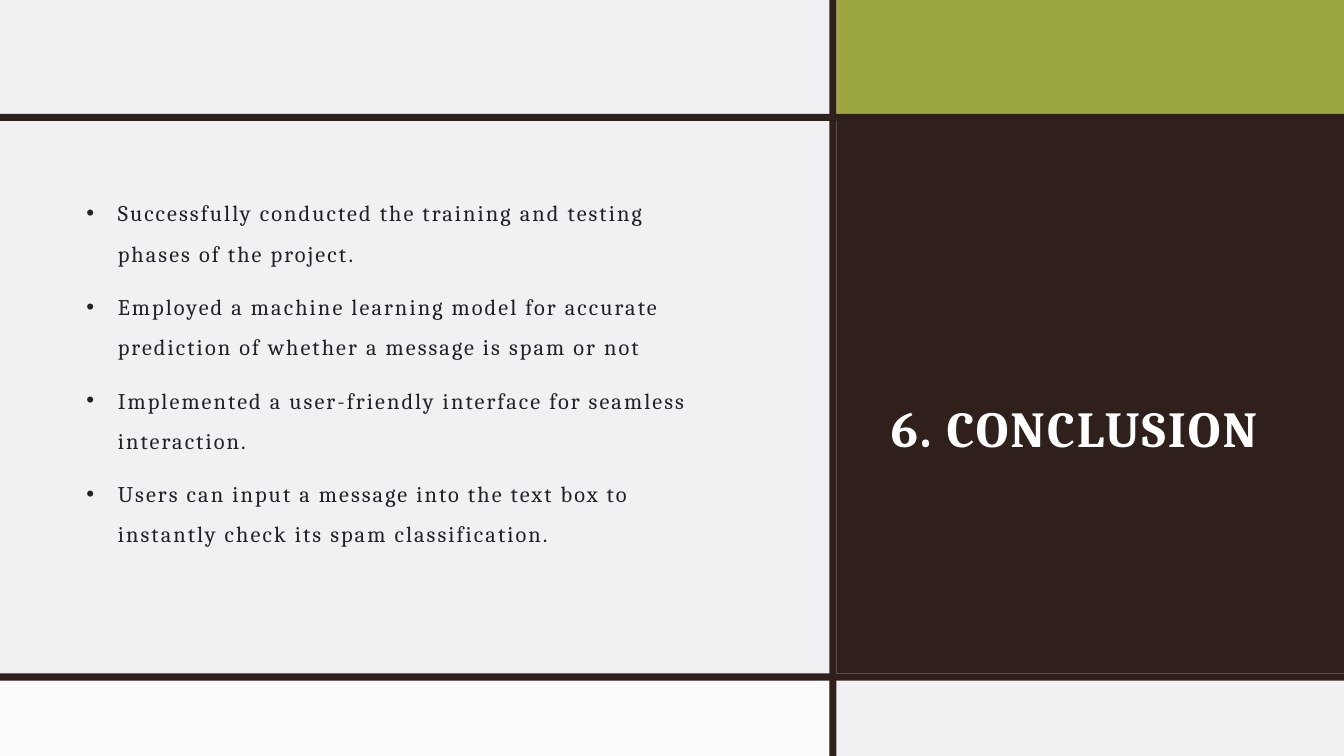
import pptx
import pptx.util
import pptx.dml.color
import pptx.enum.shapes
import pptx.enum.text
import pptx.oxml
import pptx.oxml.ns
from pptx.util import Cm

WIDTH, HEIGHT = 33.87, 19.05
BAR = 0.18
BAR_LEFT = 20.9
TOP_BAR, BOTTOM_BAR = 2.87, 16.97
PANEL_LEFT = BAR_LEFT + BAR
PANEL_TOP = TOP_BAR + BAR
STRIP_TOP = BOTTOM_BAR + BAR

BROWN = "30201B"
GREEN = "9DA742"
PALE = "F1F0F3"
WHITE = "FFFFFF"
INK = "1F2328"

CONCLUSIONS = [
    "Successfully conducted the training and testing phases of the project.",
    "Employed a machine learning model for accurate prediction of whether a message is spam or not",
    "Implemented a user-friendly interface for seamless interaction.",
    "Users can input a message into the text box to instantly check its spam classification.",
]


def set_color(color_format, color):
    color_format.rgb = pptx.dml.color.RGBColor.from_string(color)


def add_block(slide, left, top, width, height, color, opacity=100):
    shape = slide.shapes.add_shape(
        pptx.enum.shapes.MSO_SHAPE.RECTANGLE, Cm(left), Cm(top), Cm(width), Cm(height))
    shape.shadow.inherit = False
    shape.line.fill.background()
    shape.fill.solid()
    set_color(shape.fill.fore_color, color)
    if opacity < 100:
        color_element = shape.fill._xPr.find(".//" + pptx.oxml.ns.qn("a:srgbClr"))
        alpha = pptx.oxml.parse_xml(
            f'<a:alpha {pptx.oxml.ns.nsdecls("a")} val="{opacity * 1000}"/>')
        color_element.append(alpha)


def add_text(slide, left, top, width, height, lines, size, color, spacing, bold=False):
    shape = slide.shapes.add_textbox(Cm(left), Cm(top), Cm(width), Cm(height))
    text_frame = shape.text_frame
    text_frame.word_wrap = True
    text_frame.margin_left = text_frame.margin_right = text_frame.margin_top = Cm(0.3)
    text_frame.margin_bottom = Cm(0.25)
    text_frame.text = "\n".join(lines)
    for paragraph in text_frame.paragraphs:
        paragraph.line_spacing = spacing
        for run in paragraph.runs:
            run.font.name = "Cambria"
            run.font.size = pptx.util.Pt(size)
            run.font.bold = bold
            set_color(run.font.color, color)
            run.font._element.set("spc", "150")
    return text_frame


def add_bullets(text_frame):
    for paragraph in text_frame.paragraphs:
        paragraph.space_before = pptx.util.Pt(9.3)
        properties = paragraph._p.get_or_add_pPr()
        properties.set("marL", str(Cm(0.79)))
        properties.set("indent", str(-Cm(0.79)))
        namespace = pptx.oxml.ns.nsdecls("a")
        properties.append(pptx.oxml.parse_xml(f'<a:buFont {namespace} typeface="Arial"/>'))
        properties.append(pptx.oxml.parse_xml(f'<a:buChar {namespace} char="•"/>'))


def main():
    presentation = pptx.Presentation()
    presentation.slide_width = Cm(WIDTH)
    presentation.slide_height = Cm(HEIGHT)
    slide = presentation.slides.add_slide(presentation.slide_layouts[6])
    slide.background.fill.solid()
    set_color(slide.background.fill.fore_color, PALE)

    panel_width = WIDTH - PANEL_LEFT
    add_block(slide, PANEL_LEFT, 0, panel_width, TOP_BAR, GREEN)
    add_block(slide, PANEL_LEFT, PANEL_TOP, panel_width, BOTTOM_BAR - PANEL_TOP, BROWN)
    add_block(slide, 0, STRIP_TOP, BAR_LEFT, HEIGHT - STRIP_TOP, WHITE, opacity=75)
    for bar_top in (TOP_BAR, BOTTOM_BAR):
        add_block(slide, 0, bar_top, WIDTH, BAR, BROWN)
    add_block(slide, BAR_LEFT, 0, BAR, HEIGHT, BROWN)

    title = add_text(slide, 22.15, 4.75, 10.44, 7.04, ["6. CONCLUSION"], 36, WHITE, 1.15, bold=True)
    title.vertical_anchor = pptx.enum.text.MSO_ANCHOR.BOTTOM
    add_bullets(add_text(slide, 1.88, 4.39, 16.26, 11.51, CONCLUSIONS, 16, INK, 1.5))

    presentation.save("out.pptx")


if __name__ == "__main__":
    main()
